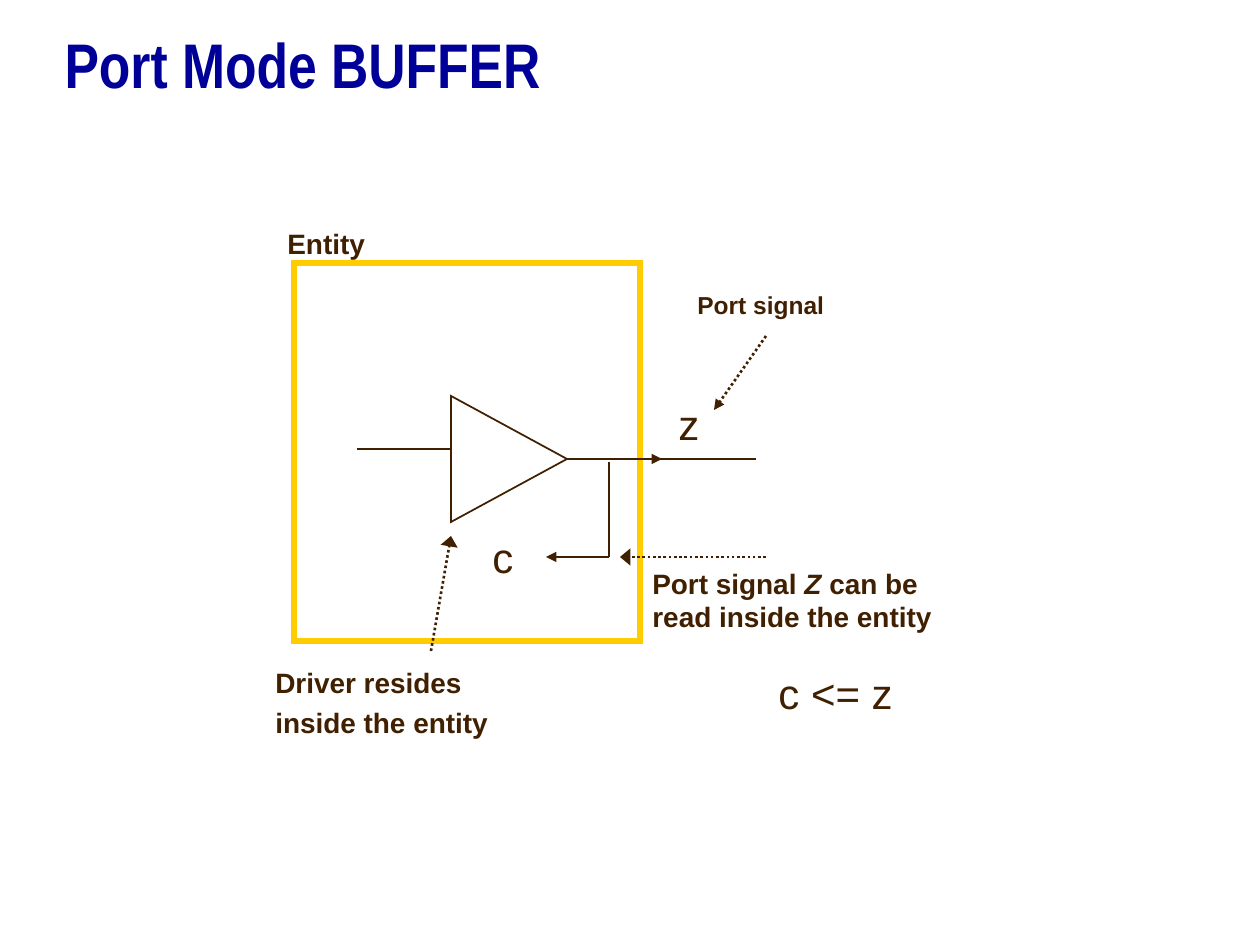
from typing import NamedTuple

from pptx import Presentation
from pptx.dml.color import RGBColor
from pptx.enum.dml import MSO_LINE
from pptx.enum.shapes import MSO_CONNECTOR, MSO_SHAPE
from pptx.enum.text import MSO_ANCHOR, MSO_AUTO_SIZE, PP_ALIGN
from pptx.oxml.ns import qn
from pptx.util import Emu, Pt
from lxml import etree

STRAIGHT = MSO_CONNECTOR.STRAIGHT
RECTANGLE = MSO_SHAPE.RECTANGLE
EXTRACT = MSO_SHAPE.FLOWCHART_EXTRACT
DOTTED = MSO_LINE.ROUND_DOT
LEFT = PP_ALIGN.LEFT
MIDDLE = MSO_ANCHOR.MIDDLE
FIT_SHAPE = MSO_AUTO_SIZE.SHAPE_TO_FIT_TEXT

PX_PER_INCH = 126
BROWN, YELLOW, NAVY = "402000", "FFCC00", "000099"


class Wire(NamedTuple):
    x1: int
    y1: int
    x2: int
    y2: int
    arrow: str = ""  # width of the arrowhead, empty for none
    dotted: bool = False


class Label(NamedTuple):
    x: int
    y: int
    w: int
    h: int
    lines: list[str]
    size: int = 16
    bold: bool = True
    wrap: bool = False
    gap: int = 0
    italic: str = ""  # word set in italics


WIRES = [
    Wire(431, 651, 451, 536, "lg", True),
    Wire(766, 336, 714, 410, "med", True),
    Wire(357, 449, 451, 449),
    Wire(567, 459, 662, 459, "med"),
    Wire(651, 459, 756, 459),
    Wire(609, 462, 609, 557),
    Wire(609, 557, 546, 557, "med"),
    Wire(766, 557, 620, 557, "lg", True),
]

LABELS = [
    Label(275, 220, 108, 47, ["Entity"]),
    Label(685, 284, 154, 43, ["Port signal"], size=14),
    Label(263, 659, 240, 87, ["Driver resides", "inside the entity"], gap=4),
    Label(640, 560, 451, 81, ["Port signal Z can be", "read inside the entity"],
          wrap=True, italic="Z"),
    Label(480, 525, 47, 63, ["c"], size=24, bold=False),
    Label(666, 392, 47, 63, ["z"], size=24, bold=False),
    Label(766, 661, 142, 63, ["c <= z"], size=24, bold=False),
]


def px(n: int) -> Emu:
    return Emu(round(n * 914400 / PX_PER_INCH))


def rgb(value: str) -> RGBColor:
    return RGBColor.from_string(value)


def style_font(font, name: str, size: int, color: str, bold: bool) -> None:
    font.name, font.size, font.bold = name, Pt(size), bold
    font.color.rgb = rgb(color)


def add_outline(s, kind, box: tuple[int, ...], color: str, width: int):
    """Add an unfilled shape with sharp corners."""
    sp = s.shapes.add_shape(kind, *map(px, box))
    sp.shadow.inherit = False
    sp.fill.background()
    sp.line.color.rgb = rgb(color)
    sp.line.width = Pt(width)
    etree.SubElement(sp.line._get_or_add_ln(), qn("a:miter"), lim="800000")
    return sp


def add_wire(s, wire: Wire) -> None:
    c = s.shapes.add_connector(STRAIGHT, *map(px, wire[:4]))
    c.line.color.rgb = rgb(BROWN)
    c.line.width = Pt(1.5 if wire.dotted else 1)
    if wire.dotted:
        c.line.dash_style = DOTTED
    if wire.arrow:
        etree.SubElement(c.line._get_or_add_ln(), qn("a:tailEnd"),
                         type="triangle", w=wire.arrow, len="med")
    etree.SubElement(c._element.spPr, qn("a:effectLst"))


def add_label(s, label: Label) -> None:
    tf = s.shapes.add_textbox(*map(px, label[:4])).text_frame
    tf.word_wrap = label.wrap
    tf.auto_size = FIT_SHAPE
    for i, line in enumerate(label.lines):
        p = tf.add_paragraph() if i else tf.paragraphs[0]
        if i:
            p.space_before = Pt(label.gap)
        pieces = line.partition(label.italic) if label.italic else (line,)
        for piece in filter(None, pieces):
            r = p.add_run()
            r.text = piece
            style_font(r.font, "Arial", label.size, BROWN, label.bold)
            if piece == label.italic:
                r.font.italic = True


def add_title(s, text: str) -> None:
    title = s.shapes.title
    title.left, title.top, title.width, title.height = map(px, (52, 11, 1155, 105))
    tf = title.text_frame
    tf.text = text
    tf.vertical_anchor = MIDDLE
    p = tf.paragraphs[0]
    p.alignment = LEFT
    style_font(p.runs[0].font, "Arial Narrow", 36, NAVY, True)


def main() -> None:
    prs = Presentation()
    prs.slide_width, prs.slide_height = px(1260), px(945)
    s = prs.slides.add_slide(prs.slide_layouts[5])
    add_title(s, "Port Mode BUFFER")
    add_outline(s, RECTANGLE, (294, 263, 346, 378), YELLOW, 3)
    driver = add_outline(s, EXTRACT, (446, 401, 126, 116), BROWN, 1)
    driver.rotation = 90
    for wire in WIRES:
        add_wire(s, wire)
    for label in LABELS:
        add_label(s, label)
    prs.save("out.pptx")


if __name__ == "__main__":
    main()
